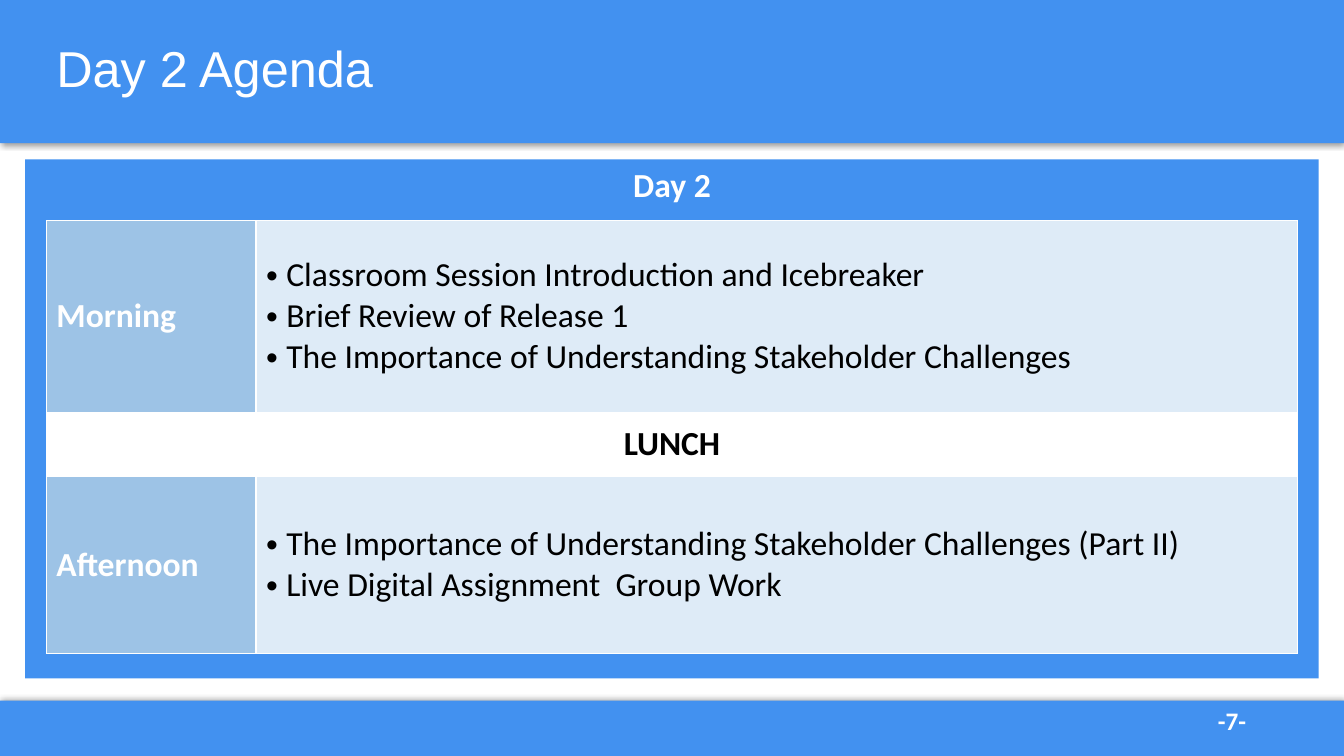
from lxml.etree import SubElement
from pptx import Presentation
from pptx.dml.color import RGBColor as Rgb
from pptx.enum.shapes import MSO_SHAPE as Shape
from pptx.enum.text import MSO_ANCHOR as Anchor, PP_ALIGN as Align
from pptx.oxml import parse_xml
from pptx.oxml.ns import nsdecls, qn
from pptx.util import Inches, Pt

COLORS = {
    "blue": "4291F0",
    "label": "9DC3E6",
    "pale": "DEEBF7",
    "white": "FFFFFF",
    "black": "000000",
}
WIDTH = 13.33
MORNING = [
    "Classroom Session Introduction and Icebreaker",
    "Brief Review of Release 1",
    "The Importance of Understanding Stakeholder Challenges",
]
AFTERNOON = [
    "The Importance of Understanding Stakeholder Challenges (Part II)",
    "Live Digital Assignment  Group Work",
]


def paint(fill, color):
    fill.solid()
    fill.fore_color.rgb = Rgb.from_string(COLORS[color])


def write(par, text, color="white", size=24, bold=True, font="Calibri"):
    run = par.add_run()
    run.text = text
    run.font.name = font
    run.font.size = Pt(size)
    run.font.bold = bold
    run.font.color.rgb = Rgb.from_string(COLORS[color])


def add_rect(slide, *place):
    rect = slide.shapes.add_shape(Shape.RECTANGLE, *map(Inches, place))
    rect.shadow.inherit = False
    paint(rect.fill, "blue")
    rect.line.fill.background()
    return rect


def add_band(slide, top, height, angle):
    band = add_rect(slide, 0, top, WIDTH, height)
    effects = band.element.spPr.find(qn("a:effectLst"))
    effects.append(parse_xml(
        f'<a:outerShdw {nsdecls("a")} blurRad="{Pt(4)}" dist="{Pt(1)}" '
        f'dir="{angle * 60000}" algn="t" rotWithShape="0">'
        f'<a:srgbClr val="{COLORS["black"]}"><a:alpha val="40000"/>'
        '</a:srgbClr></a:outerShdw>'))


def add_text(slide, place, text, anchor=Anchor.TOP, spacing=1.0, **style):
    frame = slide.shapes.add_textbox(*map(Inches, place)).text_frame
    frame.word_wrap = True
    frame.vertical_anchor = anchor
    par = frame.paragraphs[0]
    par.line_spacing = spacing
    write(par, text, **style)


def add_panel(slide):
    panel = add_rect(slide, 0.25, 1.58, 12.83, 5.15)
    panel.text_frame.vertical_anchor = Anchor.TOP
    par = panel.text_frame.paragraphs[0]
    par.alignment = Align.CENTER
    write(par, "Day 2")


def style_cell(cell, color):
    props = cell._tc.get_or_add_tcPr()
    for side in ("lnL", "lnR", "lnT", "lnB"):
        line = SubElement(props, qn(f"a:{side}"), w=str(Pt(1)))
        fill = SubElement(line, qn("a:solidFill"))
        SubElement(fill, qn("a:srgbClr"), val=COLORS["white"])
    paint(cell.fill, color)
    cell.vertical_anchor = Anchor.MIDDLE


def add_bullet(par, text):
    props = par._p.get_or_add_pPr()
    props.set("marL", str(Inches(0.2)))
    props.set("indent", str(Inches(-0.2)))
    SubElement(props, qn("a:buFont"), typeface="Arial")
    SubElement(props, qn("a:buChar"), char="•")
    write(par, text, "black", bold=False)


def fill_session(table, row, label, topics):
    name, body = table.cell(row, 0), table.cell(row, 1)
    style_cell(name, "label")
    style_cell(body, "pale")
    write(name.text_frame.paragraphs[0], label)
    frame = body.text_frame
    for i, topic in enumerate(topics):
        par = frame.add_paragraph() if i else frame.paragraphs[0]
        add_bullet(par, topic)


def fill_break(table, row, text):
    for cell in table.rows[row].cells:
        style_cell(cell, "white")
    lunch = table.cell(row, 0)
    lunch.merge(table.cell(row, 1))
    par = lunch.text_frame.paragraphs[0]
    par.alignment = Align.CENTER
    write(par, text, "black")


def add_agenda(slide):
    place = map(Inches, (0.46, 2.19, 12.41, 4.29))
    table = slide.shapes.add_table(3, 2, *place).table
    table.first_row = table.horz_banding = False
    for col, width in zip(table.columns, (2.08, 10.33)):
        col.width = Inches(width)
    for row, height in zip(table.rows, (1.9, 0.64, 1.75)):
        row.height = Inches(height)
    fill_session(table, 0, "Morning", MORNING)
    fill_break(table, 1, "LUNCH")
    fill_session(table, 2, "Afternoon", AFTERNOON)


def main():
    deck = Presentation()
    deck.slide_width, deck.slide_height = Inches(WIDTH), Inches(7.5)
    slide = deck.slides.add_slide(deck.slide_layouts[6])
    add_band(slide, 6.95, 0.55, 270)
    add_band(slide, 0, 1.42, 90)
    add_text(slide, (11.98, 6.95, 0.98, 0.4), "-7-", size=18)
    add_text(slide, (0.46, -0.02, 12.42, 1.45), "Day 2 Agenda", Anchor.MIDDLE,
             0.9, size=36, bold=False, font="Arial")
    add_panel(slide)
    add_agenda(slide)
    deck.save("out.pptx")


if __name__ == "__main__":
    main()
